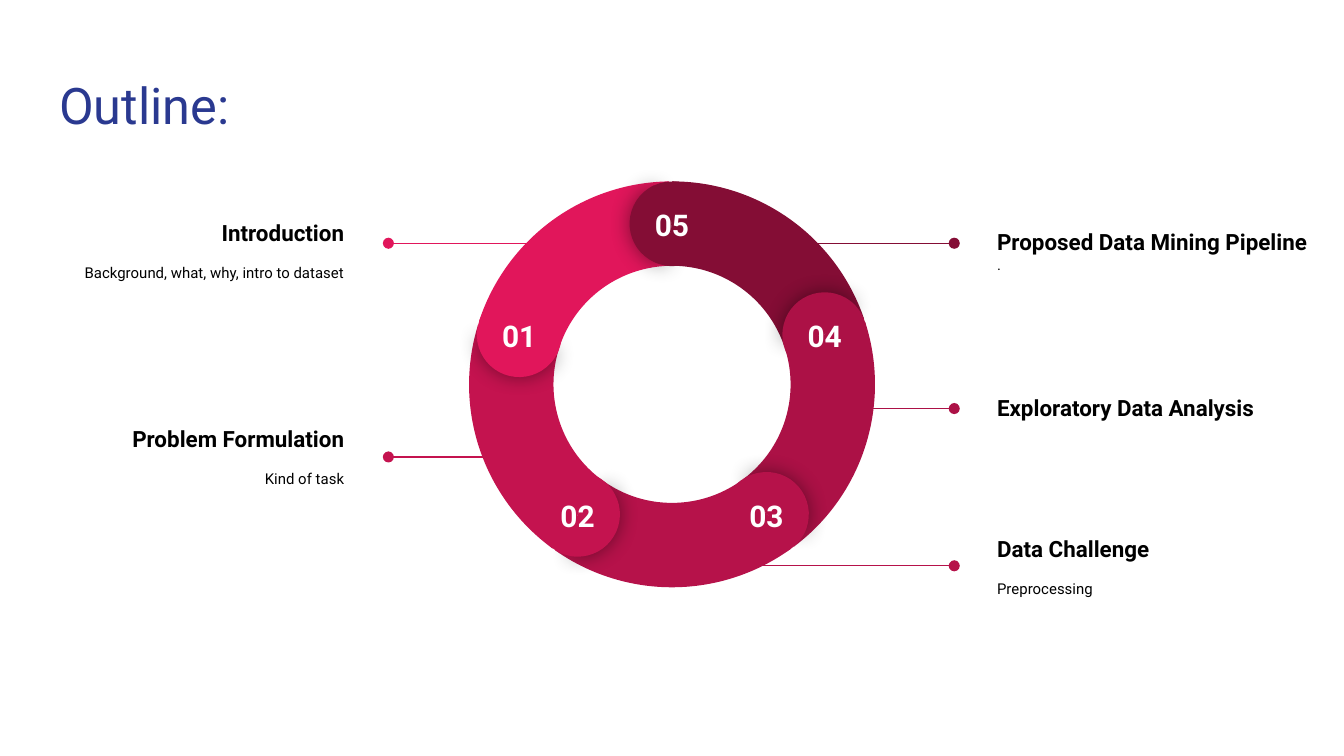
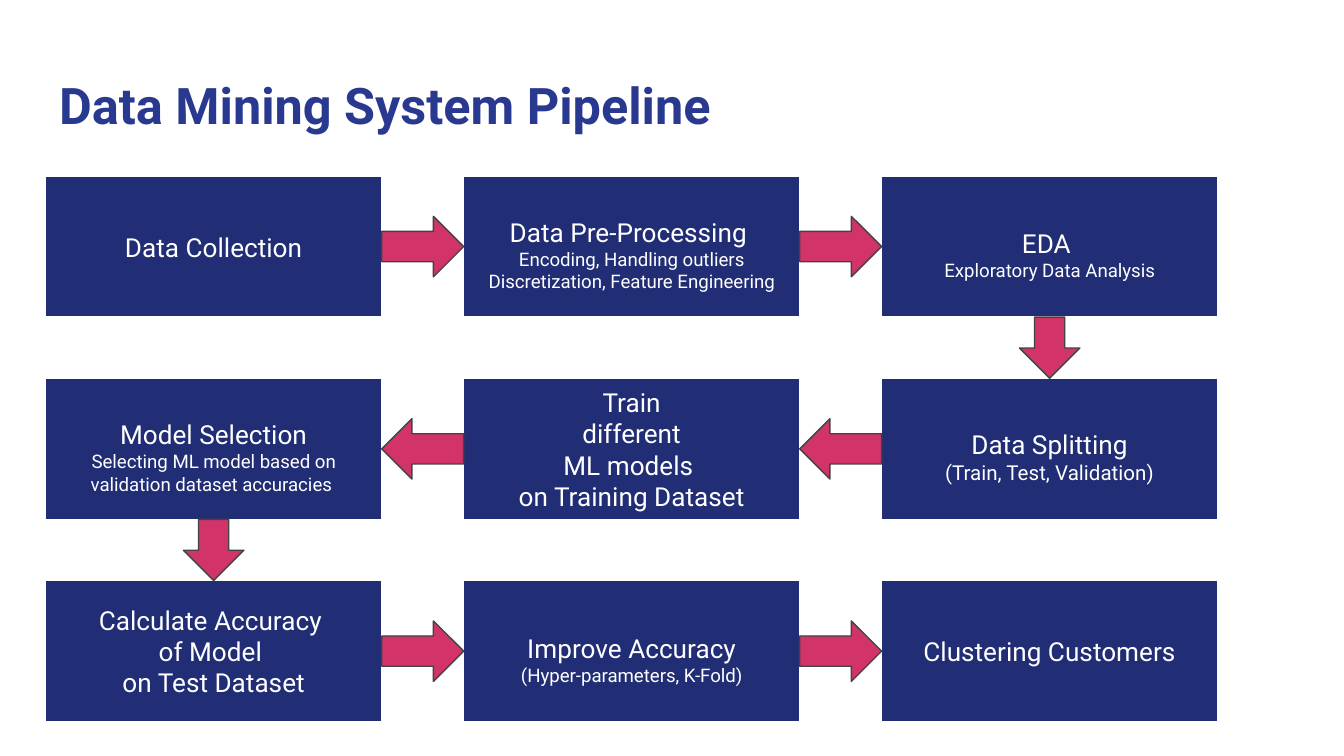
"""Build a two-slide deck: a ring-shaped outline and a data mining pipeline."""
from dataclasses import dataclass
from math import cos, radians, sin

from lxml import etree
from pptx import Presentation
from pptx.dml.color import RGBColor
from pptx.enum.shapes import MSO_CONNECTOR, MSO_SHAPE
from pptx.enum.text import MSO_ANCHOR, MSO_AUTO_SIZE, PP_ALIGN
from pptx.oxml.ns import qn
from pptx.util import Inches, Pt

LEFT, CENTER, RIGHT = PP_ALIGN.LEFT, PP_ALIGN.CENTER, PP_ALIGN.RIGHT
TOP, MIDDLE = MSO_ANCHOR.TOP, MSO_ANCHOR.MIDDLE
ARC, PIE, BOX = MSO_SHAPE.BLOCK_ARC, MSO_SHAPE.PIE, MSO_SHAPE.RECTANGLE
ARROW_RIGHT, ARROW_LEFT, ARROW_DOWN = (
    MSO_SHAPE.RIGHT_ARROW, MSO_SHAPE.LEFT_ARROW, MSO_SHAPE.DOWN_ARROW)
STRAIGHT = MSO_CONNECTOR.STRAIGHT


@dataclass(frozen=True)
class Theme:
    """Colours, font and type sizes shared by the slides."""
    font: str = "Roboto"
    title: str = "2A3990"
    ink: str = "000000"
    white: str = "FFFFFF"
    box: str = "212D74"
    arrow: str = "D23369"
    arrow_edge: str = "434343"
    title_size: int = 27
    number_size: int = 16
    topic_size: int = 12
    detail_size: int = 8
    stage_size: int = 14
    line_width: float = 0.75


THEME = Theme()
SLIDE_W = 10
SLIDE_H = SLIDE_W * 9 / 16

# number, topic, detail, gap above detail (pt), colour, side, label top, line start x, line y
TOPICS = [
    ("05", "Proposed Data Mining Pipeline", ".", 0, "840D35", RIGHT, 1.36, 5.7, 1.81),
    ("04", "Exploratory Data Analysis", "", 0, "AC1146", RIGHT, 2.53, 6.14, 3.04),
    ("03", "Data Challenge", "Preprocessing", 9.4, "B6124A", RIGHT, 3.71, 5.09, 4.21),
    ("02", "Problem Formulation", "Kind of task", 9.4, "C4134F", LEFT, 2.89, 3.91, 3.4),
    ("01", "Introduction", "Background, what, why, intro to dataset", 9.4,
     "E1165B", LEFT, 1.36, 4.23, 1.81),
]
# label left, label width, text alignment, dot x
SIDES = {LEFT: (0.34, 2.32, RIGHT, 2.89), RIGHT: (7.32, 2.68, LEFT, 7.1)}

# heading lines, detail lines, detail size
STAGES = [
    (["Data Collection"], [], 10),
    (["Data Pre-Processing "],
     ["Encoding, Handling outliers", "Discretization, Feature Engineering"], 10),
    (["EDA "], ["Exploratory Data Analysis"], 10),
    (["Data Splitting"], ["(Train, Test, Validation)"], 11),
    (["Train", " different ", "ML models ", "on Training Dataset"], [], 10),
    (["Model Selection"], ["Selecting ML model based on validation dataset accuracies "], 10),
    (["Calculate Accuracy ", "of Model ", "on Test Dataset"], [], 10),
    (["Improve Accuracy"], ["(Hyper-parameters, K-Fold)"], 10),
    (["Clustering Customers"], [], 10),
]

RING_X, RING_Y, RING_SIZE, CAP_SIZE = 5.0, 2.86, 3.02, 0.63
ARC_SHAPE = (126.025, 168.677, 0.208)
CAP_BACK, CAP_FRONT = (61.904, 149.962), (40.283, 171.837)
NUMBER_W, NUMBER_H, NUMBER_RISE = 0.56, 0.29, 0.08

COLUMNS = 3
GRID_X, GRID_Y, LAST_X, LAST_Y = 0.34, 1.31, 6.56, 4.32
PITCH_X, PITCH_Y = (LAST_X - GRID_X) / 2, (LAST_Y - GRID_Y) / 2
STAGE_W, STAGE_H, ARROW_BREADTH = 2.5, 1.05, 0.45


def rgb(colour):
    return RGBColor.from_string(colour)


def prepare_frame(frame, anchor):
    frame.word_wrap = True
    frame.auto_size = MSO_AUTO_SIZE.NONE
    frame.vertical_anchor = anchor
    frame.margin_left = frame.margin_right = Inches(0.1)
    frame.margin_top = frame.margin_bottom = Inches(0.1)


def write(paragraph, text, size, colour, bold=False, align=LEFT):
    paragraph.alignment = align
    run = paragraph.add_run()
    run.text = text
    run.font.name = THEME.font
    run.font.size = Pt(size)
    run.font.bold = bold
    run.font.color.rgb = rgb(colour)


def next_paragraph(frame):
    first = frame.paragraphs[0]
    return frame.add_paragraph() if first.runs else first


def add_label(slide, x, y, w, h, anchor):
    frame = slide.shapes.add_textbox(
        Inches(x), Inches(y), Inches(w), Inches(h)).text_frame
    prepare_frame(frame, anchor)
    return frame


def add_filled(slide, kind, x, y, w, h, fill, edge=None):
    shape = slide.shapes.add_shape(kind, Inches(x), Inches(y), Inches(w), Inches(h))
    shape.shadow.inherit = False
    shape.fill.solid()
    shape.fill.fore_color.rgb = rgb(fill)
    if edge:
        shape.line.color.rgb = rgb(edge)
        shape.line.width = Pt(THEME.line_width)
    else:
        shape.line.fill.background()
    return shape


def add_ring_part(slide, kind, x, y, size, colour, rotation, adjustments):
    part = add_filled(slide, kind, x - size / 2, y - size / 2, size, size, colour)
    part.rotation = rotation % 360
    for index, value in enumerate(adjustments):
        part.adjustments[index] = value
    return part


def add_glow_shadow(shape):
    effects = shape._element.spPr.find(qn("a:effectLst"))
    shadow = etree.SubElement(effects, qn("a:outerShdw"), blurRad=str(Pt(11.2)),
                              dist="0", dir="0", algn="ctr", rotWithShape="0")
    colour = etree.SubElement(shadow, qn("a:srgbClr"), val=THEME.ink)
    etree.SubElement(colour, qn("a:alpha"), val="43000")


def add_dotted_line(slide, start_x, end_x, y, colour):
    leader = slide.shapes.add_connector(
        STRAIGHT, Inches(start_x), Inches(y), Inches(end_x), Inches(y))
    leader.line.width = Pt(THEME.line_width)
    leader.line.color.rgb = rgb(colour)
    properties = leader._element.spPr
    etree.SubElement(properties.find(qn("a:ln")), qn("a:tailEnd"), type="oval")
    etree.SubElement(properties, qn("a:effectLst"))


def add_titled_slide(deck, text, bold=False):
    slide = deck.slides.add_slide(deck.slide_layouts[5])
    title = slide.shapes.title
    title.left, title.top = Inches(0.34), Inches(0.45)
    title.width, title.height = Inches(9.32), Inches(0.66)
    prepare_frame(title.text_frame, TOP)
    write(title.text_frame.paragraphs[0], text, THEME.title_size, THEME.title, bold)
    return slide


def build_outline(deck):
    slide = add_titled_slide(deck, "Outline:")
    for _, topic, detail, gap, colour, side, top, start_x, line_y in TOPICS:
        left, width, align, dot_x = SIDES[side]
        add_dotted_line(slide, start_x, dot_x, line_y, colour)
        frame = add_label(slide, left, top, width, 1.01, MIDDLE)
        write(frame.paragraphs[0], topic, THEME.topic_size, THEME.ink, True, align)
        if detail:
            paragraph = next_paragraph(frame)
            paragraph.space_before, paragraph.space_after = Pt(gap), Pt(16)
            write(paragraph, detail, THEME.detail_size, THEME.ink, align=align)

    turn = 360 / len(TOPICS)
    for step, topic in enumerate(TOPICS):
        add_ring_part(slide, ARC, RING_X, RING_Y, RING_SIZE, topic[4],
                      60 + turn * step, ARC_SHAPE)

    radius = (RING_SIZE - CAP_SIZE) / 2
    for step, (number, _, _, _, colour, *_) in enumerate(TOPICS):
        angle = radians(turn * step - 90)
        x, y = RING_X + radius * cos(angle), RING_Y + radius * sin(angle)
        rotation = turn * step - 4.9
        add_glow_shadow(
            add_ring_part(slide, PIE, x, y, CAP_SIZE, colour, rotation, CAP_BACK))
        add_ring_part(slide, PIE, x, y, CAP_SIZE, colour, rotation + 179.3, CAP_FRONT)
        frame = add_label(slide, x - NUMBER_W / 2, y - NUMBER_RISE - NUMBER_H / 2,
                          NUMBER_W, NUMBER_H, TOP)
        write(frame.paragraphs[0], number, THEME.number_size, THEME.white, True, CENTER)


def grid_place(index):
    row, step = divmod(index, COLUMNS)
    column = COLUMNS - 1 - step if row % 2 else step
    return GRID_X + PITCH_X * column, GRID_Y + PITCH_Y * row


def add_stage_arrow(slide, index):
    (x, y), (next_x, next_y) = grid_place(index), grid_place(index + 1)
    if next_y > y:
        kind, left, top = ARROW_DOWN, x + (STAGE_W - ARROW_BREADTH) / 2, y + STAGE_H
        width, height = ARROW_BREADTH, PITCH_Y - STAGE_H
    else:
        kind = ARROW_RIGHT if next_x > x else ARROW_LEFT
        left, top = min(x, next_x) + STAGE_W, y + (STAGE_H - ARROW_BREADTH) / 2
        width, height = PITCH_X - STAGE_W, ARROW_BREADTH
    add_filled(slide, kind, left, top, width, height, THEME.arrow, THEME.arrow_edge)


def build_pipeline(deck):
    slide = add_titled_slide(deck, "Data Mining System Pipeline", True)
    for index, (headings, details, detail_size) in enumerate(STAGES):
        stage = add_filled(slide, BOX, *grid_place(index), STAGE_W, STAGE_H,
                           THEME.box, THEME.white)
        frame = stage.text_frame
        prepare_frame(frame, MIDDLE)
        for heading in headings:
            paragraph = next_paragraph(frame)
            if details:
                paragraph.line_spacing = 1.5
            write(paragraph, heading, THEME.stage_size, THEME.white, align=CENTER)
        for detail in details:
            write(next_paragraph(frame), detail, detail_size, THEME.white, align=CENTER)
    for index in range(len(STAGES) - 1):
        add_stage_arrow(slide, index)


def main():
    deck = Presentation()
    deck.slide_width, deck.slide_height = Inches(SLIDE_W), Inches(SLIDE_H)
    build_outline(deck)
    build_pipeline(deck)
    deck.save("out.pptx")


if __name__ == "__main__":
    main()
